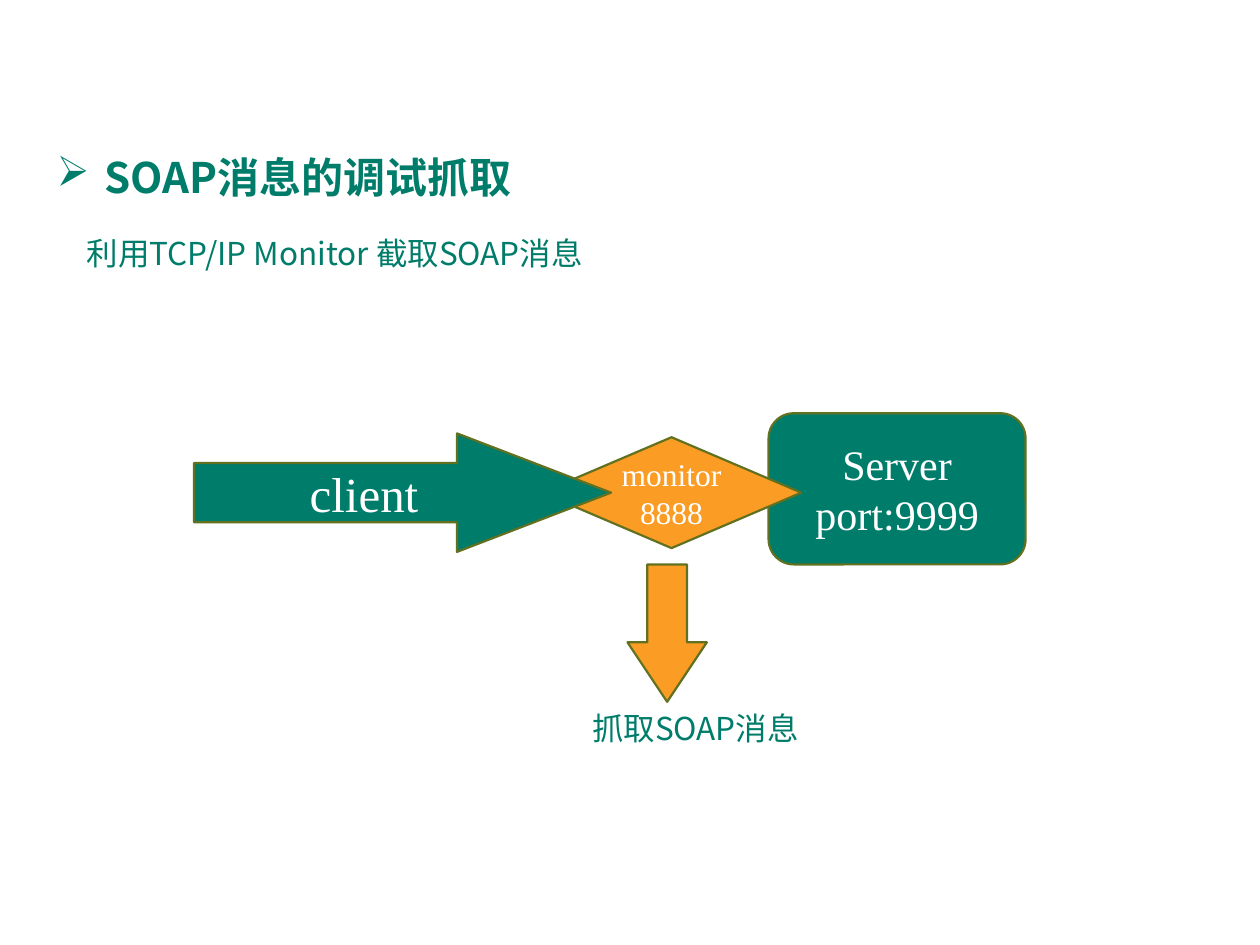
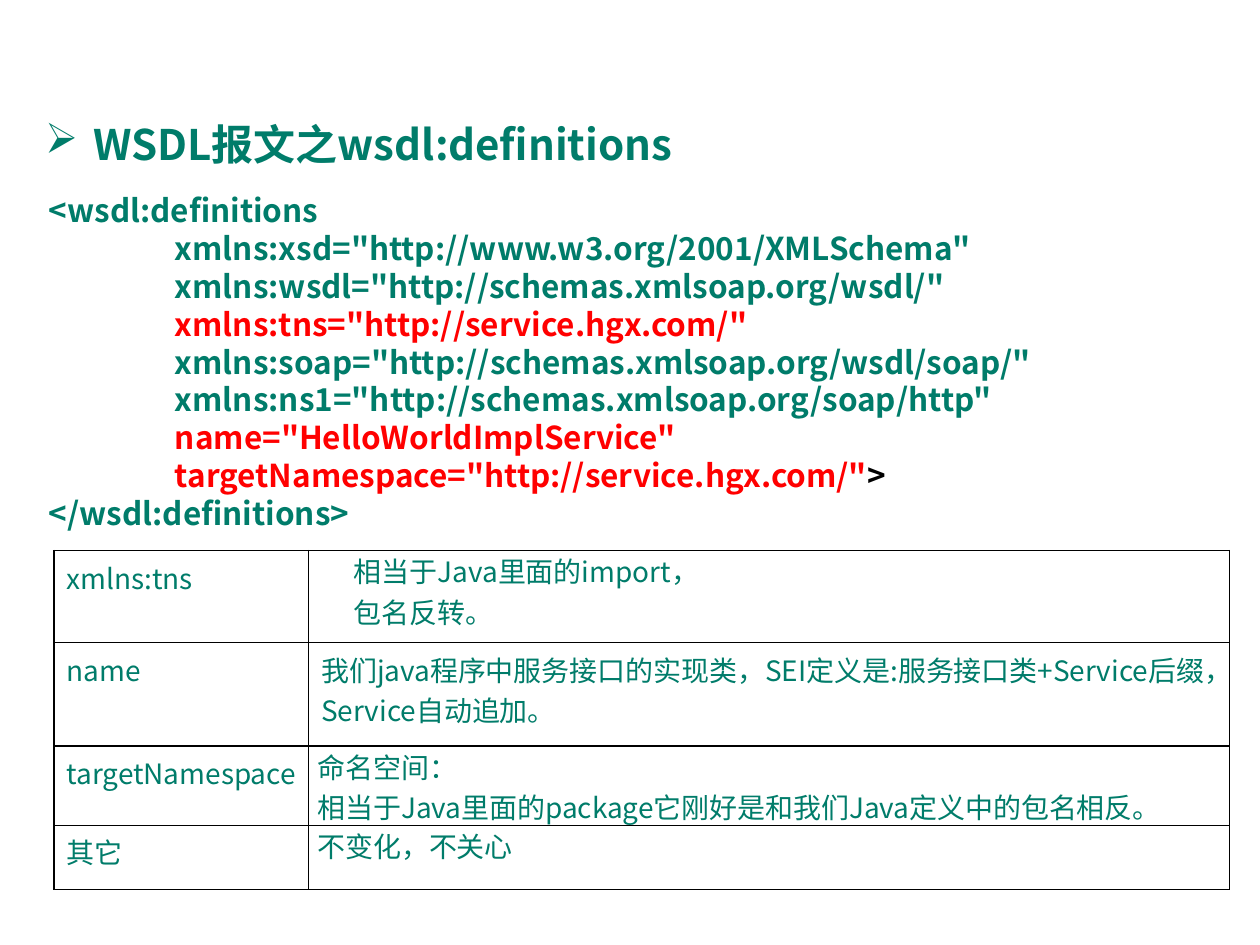
from pptx import Presentation
from pptx.dml.color import RGBColor
from pptx.enum.shapes import MSO_SHAPE
from pptx.enum.text import MSO_ANCHOR, PP_ALIGN
from pptx.oxml.ns import qn
from pptx.util import Inches, Pt
from lxml.etree import SubElement

GREEN = RGBColor(0x00, 0x7C, 0x6A)
ORANGE = RGBColor(0xFB, 0x9C, 0x25)
OLIVE = RGBColor(0x61, 0x71, 0x1F)
RED = RGBColor(0xFF, 0x00, 0x00)
BLACK = RGBColor(0x00, 0x00, 0x00)
WHITE = RGBColor(0xFF, 0xFF, 0xFF)
SANS = "Noto Sans CJK SC"
SERIF = "Times New Roman"
LINE_FACTOR = 1.2

CODE_LINES = [
    [("<wsdl:definitions", GREEN)],
    [('\t\txmlns:xsd="http://www.w3.org/2001/XMLSchema"', GREEN)],
    [('\t\txmlns:wsdl="http://schemas.xmlsoap.org/wsdl/"', GREEN)],
    [('\t\txmlns:tns="http://service.hgx.com/"', RED)],
    [('\t\txmlns:soap="http://schemas.xmlsoap.org/wsdl/soap/"', GREEN)],
    [('\t\txmlns:ns1="http://schemas.xmlsoap.org/soap/http"', GREEN)],
    [('\t\tname="HelloWorldImplService"', RED)],
    [('\t\ttargetNamespace="http://service.hgx.com/"', RED), (">", BLACK)],
    [("</wsdl:definitions>", GREEN)],
]

ATTRIBUTE_ROWS = [
    ("xmlns:tns", "相当于Java里面的import，\n包名反转。"),
    ("name", "我们java程序中服务接口的实现类，SEI定义是:服务接口类+Service后缀，Service自动追加。"),
    ("targetNamespace", "命名空间：\n相当于Java里面的package它刚好是和我们Java定义中的包名相反。"),
    ("其它", "不变化，不关心"),
]
COLUMN_WIDTHS = [2.02, 7.31]
ROW_HEIGHTS = [0.73, 0.82, 0.63, 0.51]


def format_run(run, size, color, font_name=SANS, bold=False):
    run.font.size = Pt(size)
    run.font.bold = bold
    run.font.color.rgb = color
    run.font.name = font_name
    SubElement(run.font._element, qn("a:ea"), typeface=font_name)


def format_text(text_frame, size, color, font_name=SANS, bold=False, alignment=None):
    for paragraph in text_frame.paragraphs:
        paragraph.alignment = alignment
        for run in paragraph.runs:
            format_run(run, size, color, font_name, bold)


def set_line_height(text_frame, size):
    for paragraph in text_frame.paragraphs:
        paragraph.line_spacing = Pt(size * LINE_FACTOR)


def add_text_box(slide, left, top, width, height, text=""):
    text_box = slide.shapes.add_textbox(*map(Inches, (left, top, width, height)))
    text_frame = text_box.text_frame
    text_frame.word_wrap = True
    text_frame.text = text
    return text_frame


def add_title(slide, left, top, width, height, text):
    text_frame = add_text_box(slide, left, top, width, height, text)
    properties = text_frame.paragraphs[0]._p.get_or_add_pPr()
    properties.set("marL", str(Inches(0.38)))
    properties.set("indent", str(Inches(-0.38)))
    SubElement(properties, qn("a:buChar"), char="➢")
    format_text(text_frame, 24, GREEN, bold=True)
    set_line_height(text_frame, 24)


def add_caption(slide, left, top, width, text):
    text_frame = add_text_box(slide, left, top, width, 0.4, text)
    format_text(text_frame, 18, GREEN)
    set_line_height(text_frame, 18)


def add_node(slide, kind, left, top, width, height, fill, text="", size=18, wrap=True):
    shape = slide.shapes.add_shape(kind, *map(Inches, (left, top, width, height)))
    shape.shadow.inherit = False
    shape.fill.solid()
    shape.fill.fore_color.rgb = fill
    shape.line.color.rgb = OLIVE
    shape.line.width = Pt(1.25)
    text_frame = shape.text_frame
    text_frame.word_wrap = wrap
    text_frame.vertical_anchor = MSO_ANCHOR.MIDDLE
    if text:
        text_frame.text = text
        format_text(text_frame, size, WHITE, SERIF, alignment=PP_ALIGN.CENTER)
        set_line_height(text_frame, size)
    return shape


def add_arrow(slide, left, top, width, height, fill, head_ratio, text="", size=18):
    arrow = add_node(slide, MSO_SHAPE.RIGHT_ARROW, left, top, width, height, fill, text, size)
    arrow.adjustments[0] = 0.5
    arrow.adjustments[1] = head_ratio
    return arrow


def add_code(slide, left, top, width, height, lines):
    text_frame = add_text_box(slide, left, top, width, height)
    for index, parts in enumerate(lines):
        paragraph = text_frame.add_paragraph() if index else text_frame.paragraphs[0]
        tab_list = SubElement(paragraph._p.get_or_add_pPr(), qn("a:tabLst"))
        for position in (0.5, 1):
            SubElement(tab_list, qn("a:tab"), pos=str(Inches(position)), algn="l")
        for text, color in parts:
            run = paragraph.add_run()
            run.text = text
            format_run(run, 18, color, bold=True)
    set_line_height(text_frame, 18)


def outline_cell(cell):
    properties = cell._tc.get_or_add_tcPr()
    for side in ("lnL", "lnR", "lnT", "lnB"):
        line = SubElement(properties, qn(f"a:{side}"), w=str(Pt(1)))
        fill = SubElement(line, qn("a:solidFill"))
        SubElement(fill, qn("a:srgbClr"), val=str(BLACK))
    cell.fill.background()


def tighten_cell(cell):
    cell.margin_left = cell.margin_right = Inches(0.07)
    cell.margin_top = cell.margin_bottom = 0


def add_attribute_table(slide, left, top):
    size = (sum(COLUMN_WIDTHS), sum(ROW_HEIGHTS))
    frame = slide.shapes.add_table(
        len(ATTRIBUTE_ROWS), len(COLUMN_WIDTHS), *map(Inches, (left, top, *size)))
    table = frame.table
    table.first_row = table.horz_banding = False
    for column, width in zip(table.columns, COLUMN_WIDTHS):
        column.width = Inches(width)
    for row, height, texts in zip(table.rows, ROW_HEIGHTS, ATTRIBUTE_ROWS):
        row.height = Inches(height)
        for cell, text in zip(row.cells, texts):
            cell.text_frame.text = text
            format_text(cell.text_frame, 16, GREEN)
            outline_cell(cell)
    for row_index in (0, 2, 3):
        tighten_cell(table.cell(row_index, 1))
    for paragraph in table.cell(0, 1).text_frame.paragraphs:
        paragraph._p.get_or_add_pPr().set("indent", str(Inches(0.29)))


def build_capture_slide(slide):
    add_node(slide, MSO_SHAPE.ROUNDED_RECTANGLE, 6.1, 3.28, 2.04, 1.2, GREEN,
             "Server port:9999", 24)
    add_node(slide, MSO_SHAPE.FLOWCHART_DECISION, 4.3, 3.47, 2.06, 0.88, ORANGE,
             "monitor\n8888", wrap=False)
    add_arrow(slide, 1.54, 3.44, 3.31, 0.94, GREEN, 1.3, "client", 28)
    add_title(slide, 0.35, 1.15, 5.98, 0.63, "SOAP消息的调试抓取")
    add_caption(slide, 0.59, 1.81, 4.32, "利用TCP/IP Monitor 截取SOAP消息")
    capture_arrow = add_arrow(slide, 4.75, 4.71, 1.09, 0.63, ORANGE, 0.75)
    capture_arrow.rotation = 90
    add_caption(slide, 4.6, 5.58, 1.89, "抓取SOAP消息")


def build_definitions_slide(slide):
    add_code(slide, 0.29, 1.47, 9.61, 2.83, CODE_LINES)
    add_attribute_table(slide, 0.43, 4.37)
    add_title(slide, 0.26, 0.89, 9.49, 0.5, "WSDL报文之wsdl:definitions")


def main():
    presentation = Presentation()
    presentation.slide_width = Inches(10)
    presentation.slide_height = Inches(7.5)
    blank_layout = presentation.slide_layouts[6]
    for build in (build_capture_slide, build_definitions_slide):
        build(presentation.slides.add_slide(blank_layout))
    presentation.save("out.pptx")


if __name__ == "__main__":
    main()
